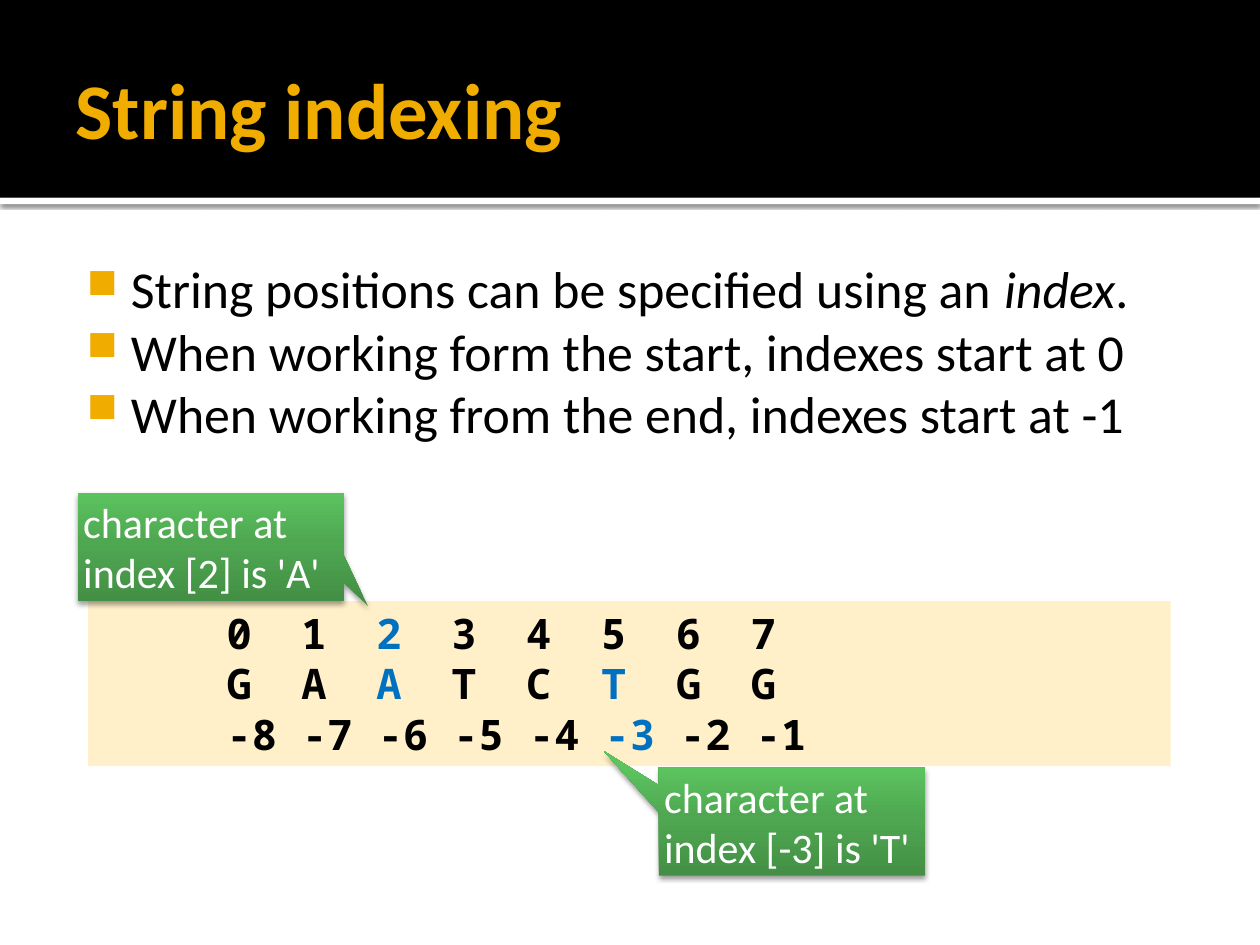
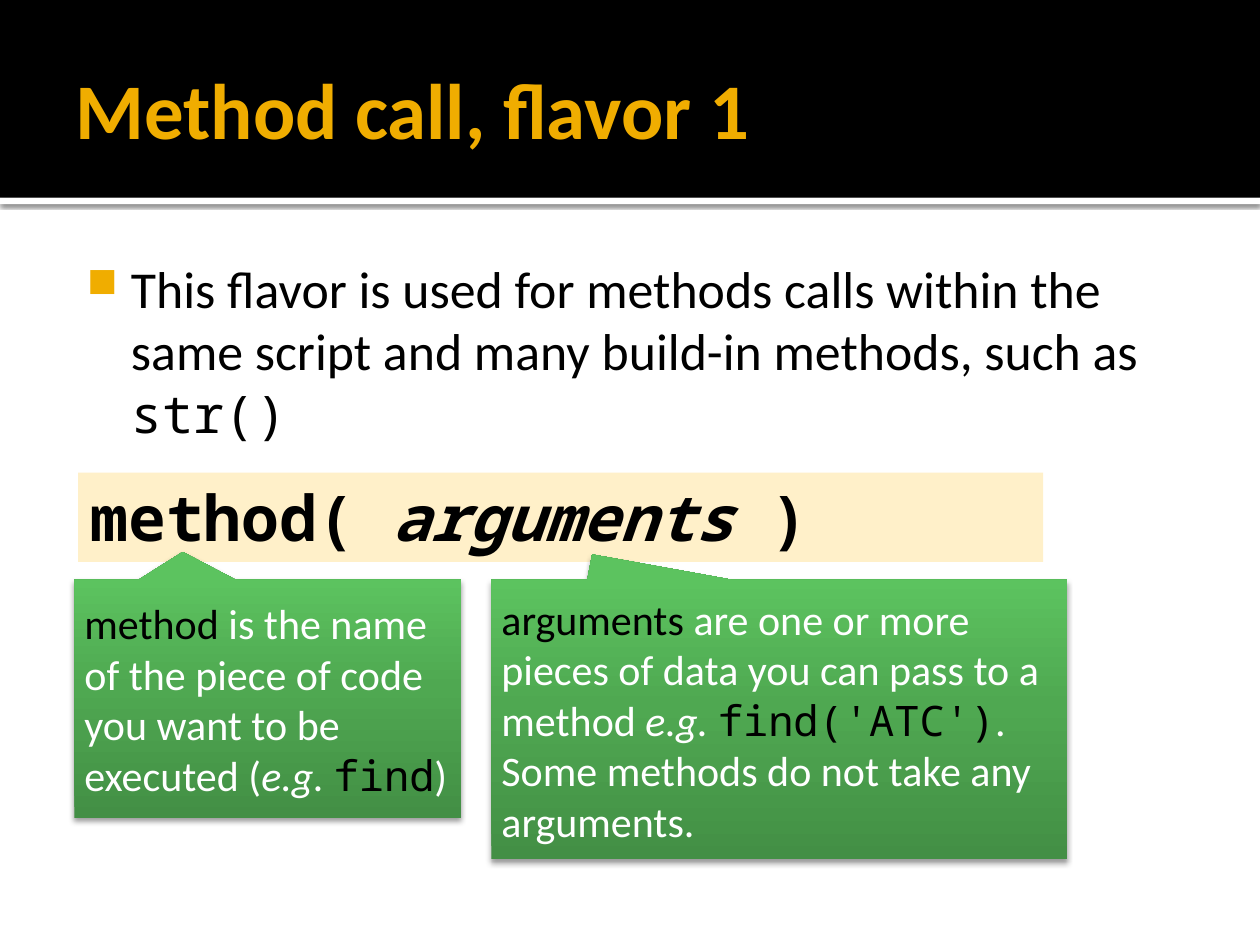
from lxml.etree import SubElement
from pptx import Presentation
from pptx.dml.color import RGBColor
from pptx.enum.shapes import MSO_SHAPE
from pptx.enum.text import MSO_ANCHOR, PP_ALIGN
from pptx.oxml import parse_xml
from pptx.oxml.ns import nsdecls, qn
from pptx.util import Inches, Pt

BLACK = RGBColor(0x00, 0x00, 0x00)
WHITE = RGBColor(0xFF, 0xFF, 0xFF)
GOLD = RGBColor(0xF0, 0xAD, 0x00)
CREAM = RGBColor(0xFF, 0xF0, 0xC9)
BLUE = RGBColor(0x00, 0x70, 0xC0)
GREENS = [(0, RGBColor(0x43, 0x8F, 0x45)), (55, RGBColor(0x4F, 0xA8, 0x51)),
          (100, RGBColor(0x5C, 0xC3, 0x5F))]
SANS, MONO = "Calibri", "Noto Sans Mono"

WIDTH, HEIGHT = 10, 7.5
BAND_H, RULE_H = 1.57, 0.05
MARGIN = 0.5
BODY_TOP = 1.94
SMALL_CALLOUT = (2.11, 0.86)
CALLOUT_TOP = 4.6

# A paragraph is a list of (text, marks): i italic, m mono, k black, b blue.
SLIDES = [
    {
        "title": "String indexing",
        "body_h": 1.89,
        "body": [
            [("String positions can be specified using an ", ""), ("index", "i"), (".", "")],
            [("When working form the start, indexes start at 0", "")],
            [("When working from the end, indexes start at -1", "")],
        ],
        "code": {
            "box": (0.7, 4.77, 8.59, 1.31), "size": 24, "indent": 1,
            # (runs, letter spacing in points)
            "lines": [
                ([("0 1 ", ""), ("2", "b"), (" 3 4 5 6 7", "")], 7),
                ([("G A ", ""), ("A", "b"), (" T C ", ""), ("T", "b"), (" G G", "")], 7),
                ([("-8 -7 -6 -5 -4 ", ""), ("-3", "b"), (" -2 -1", "")], 0),
            ],
        },
        # (box, tip of the pointer, left inset, runs)
        "callouts": [
            ((0.62, 3.91, *SMALL_CALLOUT), (2.92, 4.81), 0.04,
             [("character at index [2] is 'A'", "")]),
            ((5.23, 6.09, *SMALL_CALLOUT), (4.79, 5.96), 0.04,
             [("character at index [-3] is 'T'", "")]),
        ],
    },
    {
        "title": "Method call, flavor 1",
        "body_h": 1.57,
        "body": [
            [("This flavor is used for methods calls within the same script and many "
              "build-in methods, such as ", ""), ("str()", "m")],
        ],
        "code": {
            "box": (0.62, 3.75, 7.66, 0.71), "size": 36, "indent": 0,
            "lines": [([("method( ", ""), ("arguments", "i"), (" )", "")], 0)],
        },
        "callouts": [
            ((0.59, CALLOUT_TOP, 3.07, 1.89), (1.45, 4.38), 0.08,
             [("method ", "k"),
              ("is the name of the piece of code you want to be executed (", ""),
              ("e.g. ", "i"), ("find", "mk"), (")", "")]),
            ((3.9, CALLOUT_TOP, 4.57, 2.22), (4.7, 4.4), 0.08,
             [("arguments ", "k"),
              ("are one or more pieces of data you can pass to a method ", ""),
              ("e.g. ", "i"), ("find('ATC')", "mk"),
              (". Some methods do not take any arguments.", "")]),
        ],
    },
]


# Shared helpers
def inches(box):
    return [Inches(v) for v in box]


def add_block(s, kind, box, color=None):
    sp = s.shapes.add_shape(kind, *inches(box))
    sp.shadow.inherit = False
    sp.line.fill.background()
    if color is not None:
        sp.fill.solid()
        sp.fill.fore_color.rgb = color
    return sp


def set_frame(tf, insets=(0.1, 0.05, 0.1, 0.05), anchor=MSO_ANCHOR.TOP):
    tf.word_wrap = True
    tf.vertical_anchor = anchor
    tf.margin_left, tf.margin_top, tf.margin_right, tf.margin_bottom = inches(insets)


def write(p, runs, size, color, font=SANS, bold=False, spacing=0):
    p.alignment = PP_ALIGN.LEFT
    for text, marks in runs:
        r = p.add_run()
        r.text = text
        r.font.size = Pt(size)
        r.font.bold = bold
        r.font.italic = "i" in marks
        r.font.name = MONO if "m" in marks else font
        r.font.color.rgb = BLUE if "b" in marks else BLACK if "k" in marks else color
        if spacing:
            r._r.get_or_add_rPr().set("spc", str(spacing * 100))


def paragraphs(tf, count):
    return [tf.paragraphs[0]] + [tf.add_paragraph() for _ in range(count - 1)]


def indent(p, left, first=0):
    pPr = p._p.get_or_add_pPr()
    pPr.set("marL", str(Inches(left)))
    pPr.set("indent", str(Inches(first)))
    return pPr


def add_shadow(sp, opacity, blur, dist):
    effects = sp._element.spPr.find(qn("a:effectLst"))
    effects.append(parse_xml(
        f'<a:outerShdw {nsdecls("a")} blurRad="{Pt(blur)}" dist="{Pt(dist)}" '
        f'dir="5400000" algn="t" rotWithShape="0"><a:srgbClr val="{BLACK}">'
        f'<a:alpha val="{opacity * 1000}"/></a:srgbClr></a:outerShdw>'))


def fill_green(sp):
    sp.fill.gradient()
    sp.fill.gradient_angle = 90
    stops = sp._element.spPr.find(qn("a:gradFill")).find(qn("a:gsLst"))
    for stop in list(stops):
        stops.remove(stop)
    for pos, color in GREENS:
        stop = SubElement(stops, qn("a:gs"), pos=str(pos * 1000))
        SubElement(stop, qn("a:srgbClr"), val=str(color))


# Parts of a slide
def add_master_bands(prs, s):
    """Draw the header band and its rule, then move them behind everything on the master."""
    rule = add_block(s, MSO_SHAPE.RECTANGLE, (0, BAND_H, WIDTH, RULE_H), WHITE)
    add_shadow(rule, 60, 2.5, 0.8)
    band = add_block(s, MSO_SHAPE.RECTANGLE, (0, 0, WIDTH, BAND_H), BLACK)
    for i, sp in enumerate((rule, band)):
        sp._element.nvSpPr.cNvPr.set("id", str(100 + i))
        prs.slide_master.shapes._spTree.insert(2 + i, sp._element)


def add_title(s, text):
    title = s.shapes.title
    title.left, title.top, title.width, title.height = inches(
        (MARGIN, 0.17, WIDTH - 2 * MARGIN, 1.37))
    set_frame(title.text_frame, (0.1, 0.05, 0.05, 0.05), MSO_ANCHOR.MIDDLE)
    write(title.text_frame.paragraphs[0], [(text, "")], 45, GOLD, bold=True)


def add_body(s, items, height):
    box = (MARGIN, BODY_TOP, WIDTH - 2 * MARGIN, height)
    tf = s.shapes.add_textbox(*inches(box)).text_frame
    set_frame(tf, (0.06, 0.1, 0.1, 0.05))
    for p, runs in zip(paragraphs(tf, len(items)), items):
        write(p, runs, 29.6, BLACK)
        pPr = indent(p, 0.48, -0.35)
        SubElement(SubElement(pPr, qn("a:buClr")), qn("a:srgbClr"), val=str(GOLD))
        SubElement(pPr, qn("a:buSzPct"), val="80000")
        SubElement(pPr, qn("a:buChar"), char="■")


def add_code(s, code):
    tf = add_block(s, MSO_SHAPE.RECTANGLE, code["box"], CREAM).text_frame
    set_frame(tf)
    for p, (runs, spacing) in zip(paragraphs(tf, len(code["lines"])), code["lines"]):
        write(p, runs, code["size"], BLACK, MONO, True, spacing)
        indent(p, code["indent"])


def add_callout(s, box, tip, left_inset, runs):
    sp = add_block(s, MSO_SHAPE.RECTANGULAR_CALLOUT, box)
    x, y, w, h = box
    sp.adjustments[0] = (tip[0] - x) / w - 0.5
    sp.adjustments[1] = (tip[1] - y) / h - 0.5
    fill_green(sp)
    add_shadow(sp, 38, 3.1, 2)
    set_frame(sp.text_frame, (left_inset, 0.04, 0.04, 0.04), MSO_ANCHOR.MIDDLE)
    write(sp.text_frame.paragraphs[0], runs, 24, WHITE)


def main():
    prs = Presentation()
    prs.slide_width, prs.slide_height = inches((WIDTH, HEIGHT))
    for i, content in enumerate(SLIDES):
        s = prs.slides.add_slide(prs.slide_layouts[5])
        if i == 0:
            add_master_bands(prs, s)
        add_title(s, content["title"])
        add_body(s, content["body"], content["body_h"])
        add_code(s, content["code"])
        for callout in content["callouts"]:
            add_callout(s, *callout)
    prs.save("out.pptx")


if __name__ == "__main__":
    main()
